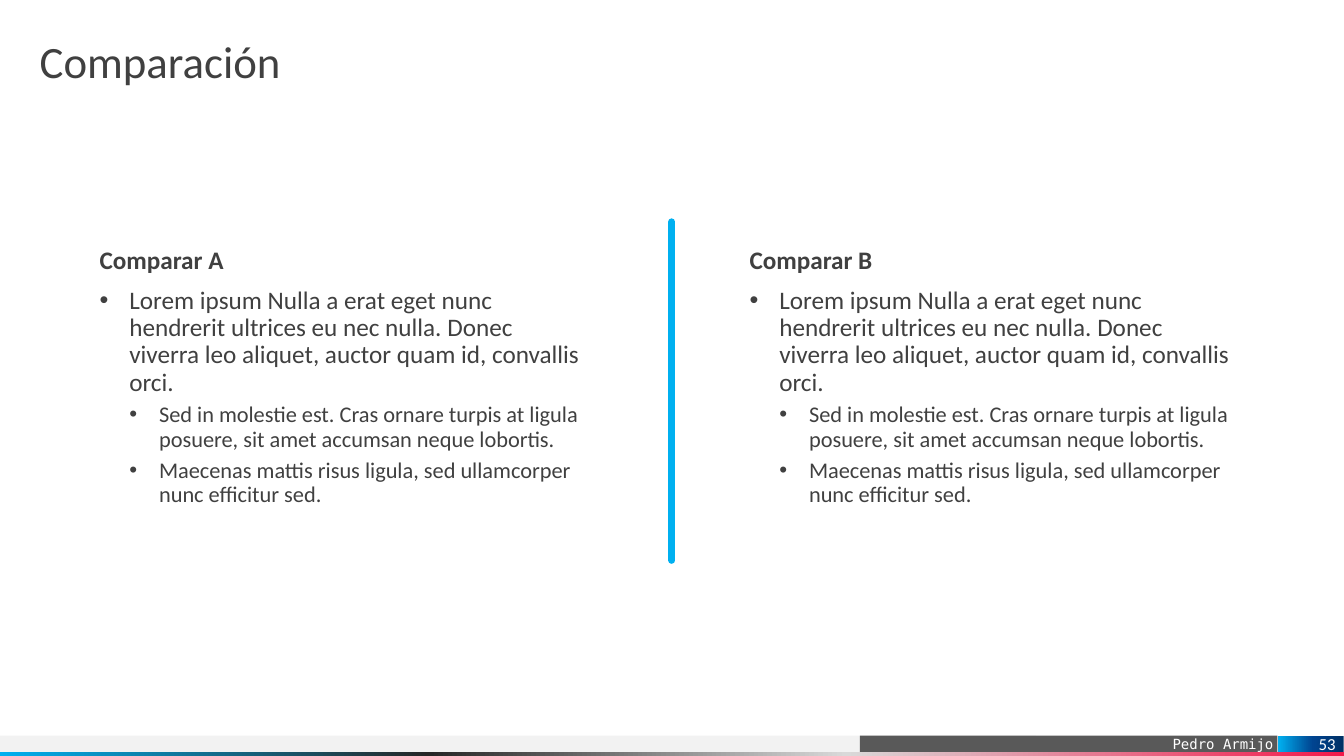
"""Build the comparison slide with two text columns and a footer."""
from lxml import etree
from pptx import Presentation
from pptx.dml.color import RGBColor
from pptx.enum.shapes import MSO_CONNECTOR, MSO_SHAPE
from pptx.enum.text import MSO_ANCHOR, MSO_AUTO_SIZE, PP_ALIGN
from pptx.oxml.ns import qn
from pptx.util import Cm, Pt

RECTANGLE = MSO_SHAPE.RECTANGLE
STRAIGHT = MSO_CONNECTOR.STRAIGHT
TOP, MIDDLE, BOTTOM = MSO_ANCHOR.TOP, MSO_ANCHOR.MIDDLE, MSO_ANCHOR.BOTTOM
LEFT, RIGHT = PP_ALIGN.LEFT, PP_ALIGN.RIGHT
NO_AUTOFIT = MSO_AUTO_SIZE.NONE

COLORS = {"text": "404040", "accent": "00B0F0", "light": "F2F2F2", "dark": "595959",
          "white": "FFFFFF", "red": "F2194A", "silver": "D9D9D9", "black": "262626",
          "navy": "003065", "blue": "004490"}
BULLETS = [
    ("Lorem ipsum Nulla a erat eget nunc hendrerit ultrices eu nec nulla. "
     "Donec viverra leo aliquet, auctor quam id, convallis orci.", 0),
    ("Sed in molestie est. Cras ornare turpis at ligula posuere, "
     "sit amet accumsan neque lobortis.", 1),
    ("Maecenas mattis risus ligula, sed ullamcorper nunc efficitur sed.", 1),
]


def write(frame, text, size=18, color="text", font="Calibri", bold=False, align=LEFT,
          spacing=0.9, before=0, level=None, anchor=TOP, margins=(0, 0)):
    """Add a formatted paragraph to a text frame; a level makes it a bullet."""
    frame.word_wrap = True
    frame.auto_size = NO_AUTOFIT
    frame.vertical_anchor = anchor
    frame.margin_left, frame.margin_right = Cm(margins[0]), Cm(margins[1])
    frame.margin_top = frame.margin_bottom = 0
    para = frame.add_paragraph() if frame.text else frame.paragraphs[0]
    if level is not None:
        para.level = level
        properties = para._p.get_or_add_pPr()
        properties.set("marL", str(Cm(0.75 * (level + 1))))
        properties.set("indent", str(-Cm(0.75)))
        etree.SubElement(properties, qn("a:buFont"), typeface="Arial")
        etree.SubElement(properties, qn("a:buChar"), char="•")
    para.alignment = align
    para.line_spacing = spacing
    para.space_before = Pt(before)
    span = para.add_run()
    span.text = text
    span.font.size = Pt(size)
    span.font.name = font
    span.font.bold = bold
    span.font.color.rgb = RGBColor.from_string(COLORS[color])


def add_bar(left, top, width, height, *stops):
    """Add a footer bar filled with one colour or with gradient stops."""
    bar = page.shapes.add_shape(RECTANGLE, Cm(left), Cm(top), Cm(width), Cm(height))
    bar.shadow.inherit = False
    bar.line.fill.background()
    if len(stops) == 1:
        bar.fill.solid()
        bar.fill.fore_color.rgb = RGBColor.from_string(COLORS[stops[0]])
        return bar
    bar.fill.gradient()
    bar.fill.gradient_angle = 180
    stop_list = bar._element.spPr.find(".//" + qn("a:gsLst"))
    for old_stop in list(stop_list):
        stop_list.remove(old_stop)
    for position, color in stops:
        stop = etree.SubElement(stop_list, qn("a:gs"), pos=str(position * 1000))
        etree.SubElement(stop, qn("a:srgbClr"), val=COLORS[color])
    return bar


deck = Presentation()
deck.slide_width, deck.slide_height = Cm(33.87), Cm(19.05)
page = deck.slides.add_slide(deck.slide_layouts[5])

add_bar(-0.03, 18.54, 26.14, 0.41, "light")
author_bar = add_bar(21.67, 18.54, 10.52, 0.41, "dark")
write(author_bar.text_frame, "Pedro Armijo", size=10, color="white", font="DejaVu Sans Mono",
      align=RIGHT, spacing=1, anchor=BOTTOM, margins=(0.25, 0.1))
add_bar(-0.03, 18.95, 33.9, 0.1, (0, "red"), (37, "silver"), (68, "black"), (100, "accent"))

title = page.shapes.title
title.left, title.top, title.width, title.height = Cm(1), Cm(1), Cm(31.87), Cm(1.5)
write(title.text_frame, "Comparación", size=32)

for left, heading in ((2.51, "Comparar A"), (18.89, "Comparar B")):
    heading_box = page.shapes.add_textbox(Cm(left), Cm(6.25), Cm(12.27), Cm(1))
    write(heading_box.text_frame, heading, bold=True)
    bullet_box = page.shapes.add_textbox(Cm(left), Cm(7.25), Cm(12.27), Cm(5.87))
    for text, level in BULLETS:
        write(bullet_box.text_frame, text, size=18 - 2 * level, before=5 * level, level=level)

divider = page.shapes.add_connector(STRAIGHT, Cm(16.93), Cm(5.59), Cm(16.93), Cm(14.12))
divider.line.color.rgb = RGBColor.from_string(COLORS["accent"])
divider.line.width = Pt(5)
divider.line._get_or_add_ln().set("cap", "rnd")
etree.SubElement(divider._element.spPr, qn("a:effectLst"))

number_bar = add_bar(32.21, 18.54, 1.65, 0.41, (0, "navy"), (47, "blue"), (100, "accent"))
write(number_bar.text_frame, "53", size=12, color="white", align=RIGHT, spacing=1,
      anchor=MIDDLE, margins=(0, 0.2))

deck.save("out.pptx")
